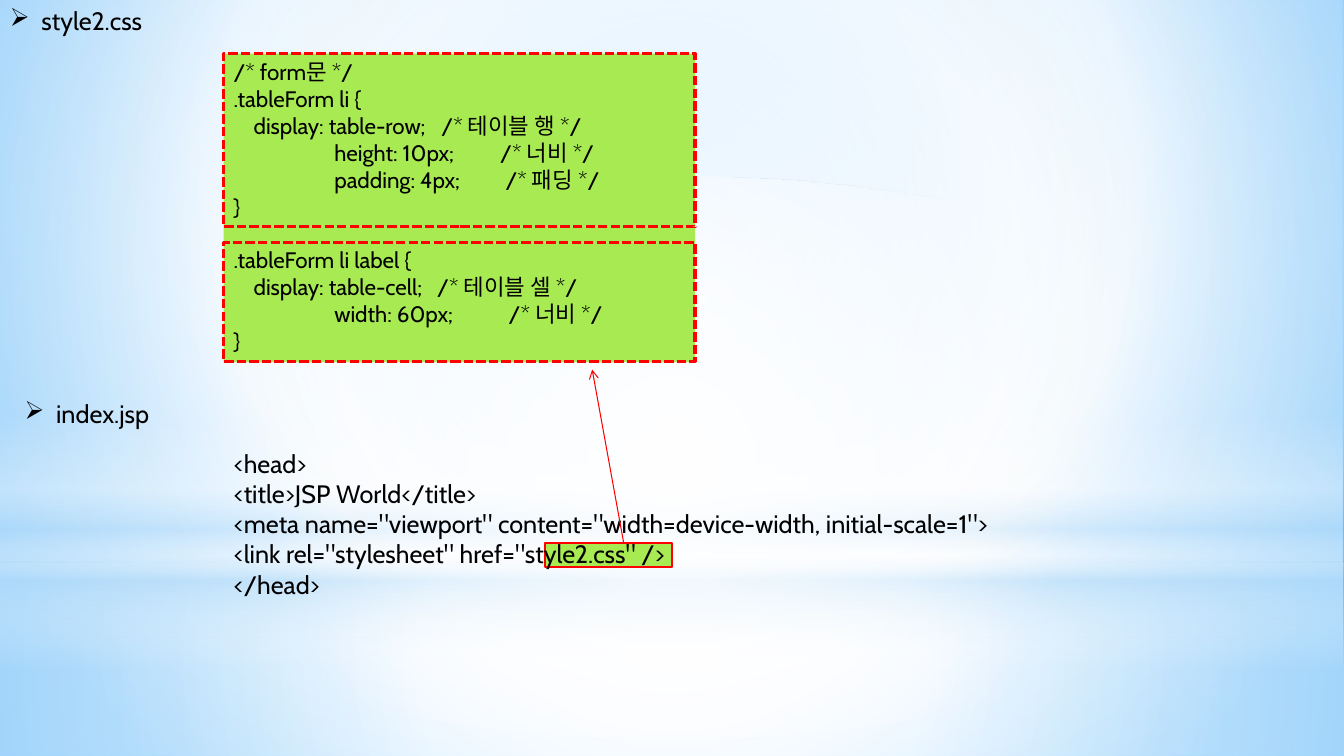
from dataclasses import dataclass
from typing import Optional

import pptx
import pptx.dml.color
import pptx.enum.dml
import pptx.enum.shapes
import pptx.enum.text
import pptx.oxml
import pptx.oxml.ns
import pptx.util
from lxml import etree

EMU_PER_PX = 9525
RECTANGLE = pptx.enum.shapes.MSO_SHAPE.RECTANGLE
OVAL = pptx.enum.shapes.MSO_SHAPE.OVAL
Box = tuple[int, int, int, int]


@dataclass(frozen=True)
class Theme:
    font: str = "Cabin"
    text: str = "000000"
    accent: str = "FF0000"
    highlight: str = "A7EA52"
    white: str = "FFFFFF"
    haze: str = "B4DCFA"
    sky: str = "9ED5FF"
    deep_sky: str = "5BB9FF"
    body_size: int = 18
    code_size: int = 16
    rule_gap: int = 19


THEME = Theme()


@dataclass(frozen=True)
class Stop:
    position: int
    color: str
    opacity: int = 100


@dataclass(frozen=True)
class Gradient:
    stops: tuple[Stop, ...]
    center: Optional[Box] = (50, 50, 50, 50)  # None: runs from top to bottom


@dataclass(frozen=True)
class Backdrop:
    box: Box
    gradient: Gradient
    kind: pptx.enum.shapes.MSO_SHAPE = RECTANGLE


@dataclass(frozen=True)
class Frame:
    box: Box
    width: float
    fill: Optional[str] = None
    dashed: bool = False


@dataclass(frozen=True)
class Line:
    text: str
    comment_stop: int = 0
    space_before: int = 0


@dataclass(frozen=True)
class TextBlock:
    box: Box
    lines: tuple[Line, ...]
    size: int
    fill: Optional[str] = None
    bullet: str = ""


W, M = THEME.white, THEME.haze
SLIDE_SIZE = (1280, 720)
INDENT = 30
CODE_TAB = 96
BACKGROUND = Gradient(
    (Stop(0, THEME.sky), Stop(60, W), Stop(100, THEME.deep_sky)), (20, 10, 20, 60))
BACKDROPS = (
    Backdrop((0, 536, 1280, 184), Gradient((Stop(0, W, 91), Stop(37, W, 76), Stop(100, M, 79)))),
    Backdrop((0, 0, 1280, 536), Gradient((Stop(0, W, 89), Stop(48, W, 62), Stop(100, M, 79)))),
    Backdrop((0, 396, 1280, 240), Gradient(
        (Stop(0, W, 0), Stop(29, W, 30), Stop(45, M, 40),
         Stop(55, W, 26), Stop(65, M, 60), Stop(100, W, 0)), None)),
    Backdrop((0, 168, 1280, 536), Gradient((Stop(0, W), Stop(56, W, 0))), OVAL),
)
LINK_HIGHLIGHT = Frame((519, 517, 121, 23), 1.25, THEME.highlight)
TEXT_BLOCKS = (
    TextBlock((0, 0, 155, 38), (Line("style2.css"),), THEME.body_size, bullet="➢"),
    TextBlock((14, 375, 150, 38), (Line("index.jsp"),), THEME.body_size, bullet="➢"),
    TextBlock((213, 422, 812, 156), (
        Line("<head>"),
        Line("<title>JSP World</title>"),
        Line('<meta name="viewport" content="width=device-width, initial-scale=1">'),
        Line('<link rel="stylesheet" href="style2.css" />'),
        Line("</head>"),
    ), THEME.body_size),
    TextBlock((213, 51, 449, 294), (
        Line("/* form문 */"),
        Line(".tableForm li {"),
        Line("    display: table-row;\t/* 테이블 행 */", 198),
        Line("\theight: 10px;\t/* 너비 */", 254),
        Line("\tpadding: 4px;\t/* 패딩 */", 259),
        Line("}"),
        Line(".tableForm li label {", space_before=THEME.rule_gap),
        Line("    display: table-cell;\t/* 테이블 셀 */", 194),
        Line("\twidth: 60px;\t/* 너비 */", 262),
        Line("}"),
    ), THEME.code_size, THEME.highlight),
)
RULE_FRAMES = (
    Frame((213, 51, 449, 165), 2.25, dashed=True),
    Frame((213, 231, 449, 113), 2.25, dashed=True),
)
ARROW = (594, 517, 564, 352)


def px(value: int) -> pptx.util.Emu:
    return pptx.util.Emu(value * EMU_PER_PX)


def rgb(color: str) -> pptx.dml.color.RGBColor:
    return pptx.dml.color.RGBColor.from_string(color)


def add_element(parent, tag: str, **attributes):
    element = etree.SubElement(parent, pptx.oxml.ns.qn(tag))
    for name, value in attributes.items():
        element.set(name, str(value))
    return element


def find(root, tag: str):
    return root.find(".//" + pptx.oxml.ns.qn(tag))


def apply_gradient(fill, root, gradient: Gradient) -> None:
    fill.gradient()
    node = find(root, "a:gradFill")
    for child in list(node):
        node.remove(child)
    stop_list = add_element(node, "a:gsLst")
    for stop in gradient.stops:
        entry = add_element(stop_list, "a:gs", pos=stop.position * 1000)
        color = add_element(entry, "a:srgbClr", val=stop.color)
        if stop.opacity < 100:
            add_element(color, "a:alpha", val=stop.opacity * 1000)
    if gradient.center is None:
        add_element(node, "a:lin", ang=90 * 60000, scaled=0)
    else:
        sides = {side: inset * 1000 for side, inset in zip("ltrb", gradient.center)}
        add_element(add_element(node, "a:path", path="circle"), "a:fillToRect", **sides)


def add_backdrop(slide, backdrop: Backdrop) -> None:
    shape = slide.shapes.add_shape(backdrop.kind, *map(px, backdrop.box))
    shape.shadow.inherit = False
    shape.line.fill.background()
    apply_gradient(shape.fill, shape.element, backdrop.gradient)


def add_frame(slide, frame: Frame) -> None:
    shape = slide.shapes.add_shape(RECTANGLE, *map(px, frame.box))
    shape.shadow.inherit = False
    if frame.fill:
        shape.fill.solid()
        shape.fill.fore_color.rgb = rgb(frame.fill)
    else:
        shape.fill.background()
    shape.line.color.rgb = rgb(THEME.accent)
    shape.line.width = pptx.util.Pt(frame.width)
    if frame.dashed:
        shape.line.dash_style = pptx.enum.dml.MSO_LINE.SQUARE_DOT


def add_text_block(slide, block: TextBlock) -> None:
    shape = slide.shapes.add_textbox(*map(px, block.box))
    if block.fill:
        shape.fill.solid()
        shape.fill.fore_color.rgb = rgb(block.fill)
    frame = shape.text_frame
    frame.word_wrap = not block.bullet
    frame.auto_size = pptx.enum.text.MSO_AUTO_SIZE.SHAPE_TO_FIT_TEXT
    frame.text = "\n".join(line.text for line in block.lines)
    for paragraph, line in zip(frame.paragraphs, block.lines):
        properties = paragraph._p.get_or_add_pPr()
        if block.bullet:
            properties.set("marL", str(px(INDENT)))
            properties.set("indent", str(px(-INDENT)))
            add_element(properties, "a:buChar", char=block.bullet)
        if line.comment_stop:
            tabs = add_element(properties, "a:tabLst")
            for stop in (CODE_TAB, line.comment_stop):
                add_element(tabs, "a:tab", pos=px(stop), algn="l")
        if line.space_before:
            paragraph.space_before = pptx.util.Pt(line.space_before)
        for run in paragraph.runs:
            run.font.name = THEME.font
            run.font.size = pptx.util.Pt(block.size)
            run.font.color.rgb = rgb(THEME.text)


def add_arrow(slide, ends: Box) -> None:
    arrow = slide.shapes.add_connector(
        pptx.enum.shapes.MSO_CONNECTOR.STRAIGHT, *map(px, ends))
    arrow.line.color.rgb = rgb(THEME.accent)
    arrow.line.width = pptx.util.Pt(0.75)
    add_element(find(arrow.element, "a:ln"), "a:tailEnd", type="arrow")
    add_element(find(arrow.element, "p:spPr"), "a:effectLst")


def main() -> None:
    presentation = pptx.Presentation()
    presentation.slide_width, presentation.slide_height = map(px, SLIDE_SIZE)
    slide = presentation.slides.add_slide(presentation.slide_layouts[6])
    # Sky background
    apply_gradient(slide.background.fill, slide.element, BACKGROUND)
    for backdrop in BACKDROPS:
        add_backdrop(slide, backdrop)
    # File names and code
    add_frame(slide, LINK_HIGHLIGHT)
    for block in TEXT_BLOCKS:
        add_text_block(slide, block)
    # Rule outlines and the link to them
    for frame in RULE_FRAMES:
        add_frame(slide, frame)
    add_arrow(slide, ARROW)
    presentation.save("out.pptx")


if __name__ == "__main__":
    main()
